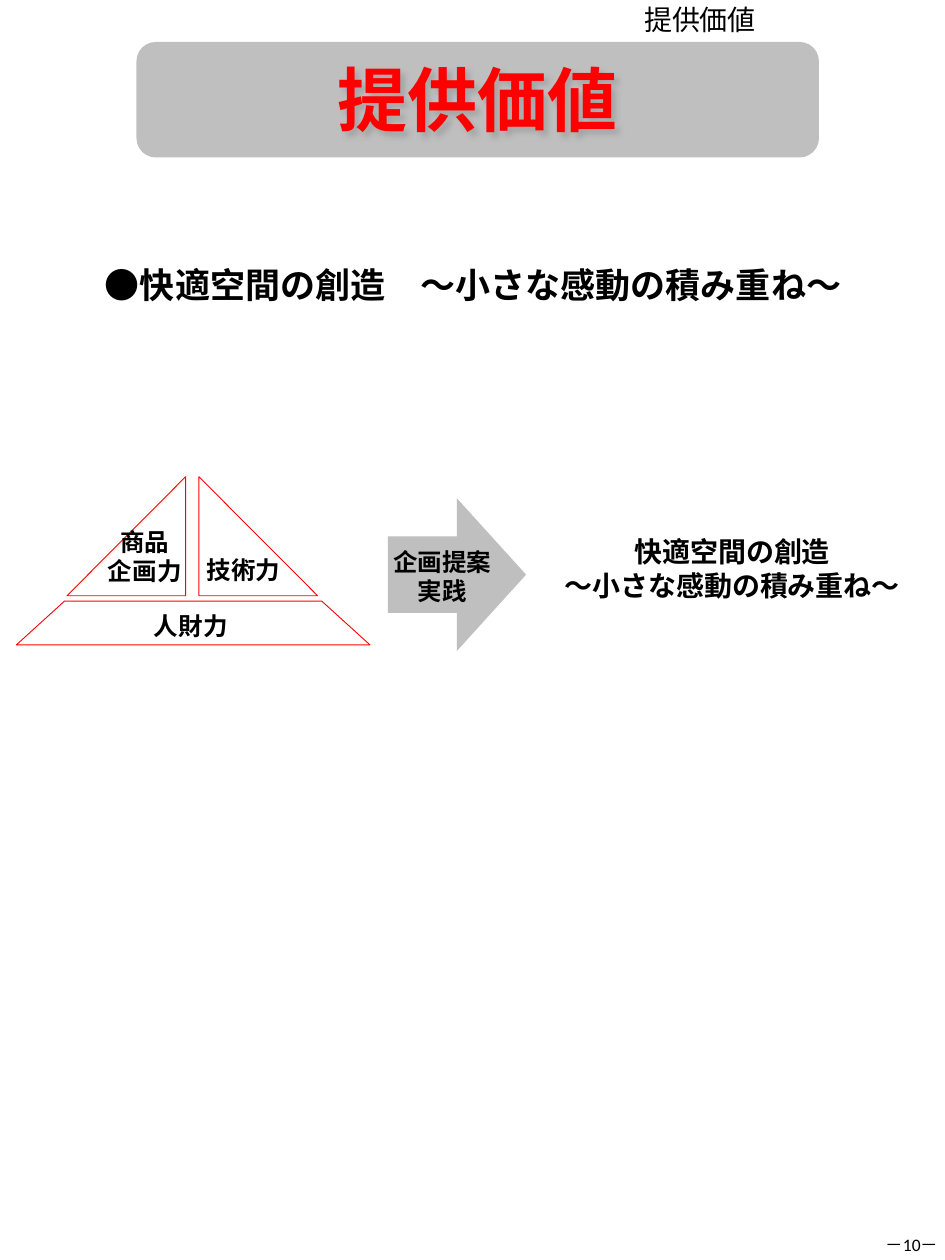
import pptx
import pptx.dml.color
import pptx.enum.shapes
import pptx.enum.text
import pptx.oxml
import pptx.oxml.ns
import pptx.util
from dataclasses import dataclass

Pt = pptx.util.Pt
rgb = pptx.dml.color.RGBColor.from_string
ALIGN = pptx.enum.text.PP_ALIGN
ANCHOR = pptx.enum.text.MSO_ANCHOR
SHAPE = pptx.enum.shapes.MSO_SHAPE


@dataclass(frozen=True)
class Theme:
    accent: str = "FF0000"
    panel: str = "BFBFBF"
    ink: str = "000000"
    shadow: str = "808080"
    japanese: str = "Noto Sans CJK JP"
    latin: str = "Calibri"
    title: int = 40
    message: int = 20
    body: int = 16
    label: int = 14
    page: int = 10


theme = Theme()


def write(box, lines, size, align, bold=True, color=theme.ink, font=theme.japanese,
          inset=0, wrap=True, anchor=ANCHOR.TOP):
    frame = box.text_frame
    frame.word_wrap = wrap
    frame.auto_size = pptx.enum.text.MSO_AUTO_SIZE.NONE
    frame.vertical_anchor = anchor
    frame.margin_left = frame.margin_right = Pt(inset)
    frame.margin_top = frame.margin_bottom = Pt(inset / 2)
    for i, line in enumerate(lines):
        paragraph = frame.add_paragraph() if i else frame.paragraphs[0]
        paragraph.alignment = align
        paragraph.space_before = Pt(0)
        paragraph.line_spacing = 1.0
        run = paragraph.add_run()
        run.text = line
        run.font.size = Pt(size)
        run.font.bold = bold
        run.font.color.rgb = rgb(color)
        run.font.name = font
        # East Asian glyphs take their own typeface
        east_asian = pptx.oxml.parse_xml(
            f'<a:ea {pptx.oxml.ns.nsdecls("a")} typeface="{font}"/>')
        run.font._element.find(pptx.oxml.ns.qn("a:latin")).addnext(east_asian)


def panel(preset, left, top, width, height):
    shape = slide.shapes.add_shape(preset, Pt(left), Pt(top), Pt(width), Pt(height))
    shape.shadow.inherit = False
    shape.fill.solid()
    shape.fill.fore_color.rgb = rgb(theme.panel)
    shape.line.fill.background()


presentation = pptx.Presentation()
presentation.slide_width, presentation.slide_height = Pt(540), Pt(720)
slide = presentation.slides.add_slide(presentation.slide_layouts[5])

# Title on its banner
panel(SHAPE.ROUNDED_RECTANGLE, 78, 24, 390, 66)
title = slide.shapes.title
title.left, title.top, title.width, title.height = Pt(90), Pt(29), Pt(366), Pt(55)
title.fill.background()
write(title, ["提供価値"], theme.title, ALIGN.CENTER, color=theme.accent,
      inset=7.2, anchor=ANCHOR.MIDDLE)
title.element.spPr.append(pptx.oxml.parse_xml(
    f'<a:effectLst {pptx.oxml.ns.nsdecls("a")}>'
    '<a:outerShdw blurRad="38100" dist="38100" dir="2700000" algn="tl">'
    f'<a:srgbClr val="{theme.shadow}"><a:alpha val="40000"/></a:srgbClr>'
    '</a:outerShdw></a:effectLst>'))
slide.shapes.element.append(title.element)  # in front of the banner

# Pyramid of strengths
pyramid = [
    [(113.7, 272.4), (113.7, 340.4), (181.5, 340.4)],
    [(106.1, 272.4), (106.1, 340.4), (38.3, 340.4)],
    [(9.4, 368.5), (36.9, 343.5), (183.9, 343.5), (211.4, 368.5)],
]
for corners in pyramid:
    start, *rest = [(Pt(x), Pt(y)) for x, y in corners]
    outline = slide.shapes.build_freeform(*start)
    outline.add_line_segments(rest, close=True)
    block = outline.convert_to_shape()
    block.shadow.inherit = False
    block.fill.background()
    block.line.color.rgb = rgb(theme.accent)
    block.line.width = Pt(0.5)

# Arrow from the strengths to the value
panel(SHAPE.RIGHT_ARROW, 221.6, 284.8, 79, 87.2)

# Texts: lines, size, alignment, left, top, width, height, options
texts = [
    (["●快適空間の創造　～小さな感動の積み重ね～"], theme.message, ALIGN.LEFT,
     60, 150.5, 448, 24.5, {}),
    (["商品", "企画力"], theme.label, ALIGN.CENTER, 61.5, 301, 42.5, 34, {"wrap": False}),
    (["技術力"], theme.label, ALIGN.LEFT, 118, 317, 42.5, 17, {"wrap": False}),
    (["人財力"], theme.label, ALIGN.LEFT, 88, 349, 42.5, 17, {"wrap": False}),
    (["企画提案", "実践"], theme.label, ALIGN.CENTER, 216, 312.5, 73.5, 34, {}),
    (["快適空間の創造", "～小さな感動の積み重ね～"], theme.body, ALIGN.CENTER,
     305, 305.5, 227, 39, {}),
    (["提供価値"], theme.body, ALIGN.JUSTIFY, 361, -2, 178, 27,
     {"bold": False, "inset": 7.2}),
    (["－10－"], theme.page, ALIGN.CENTER, 504, 705, 34, 13,
     {"bold": False, "font": theme.latin, "wrap": False}),
]
for lines, size, align, left, top, width, height, options in texts:
    box = slide.shapes.add_textbox(Pt(left), Pt(top), Pt(width), Pt(height))
    write(box, lines, size, align, **options)

presentation.save("out.pptx")
